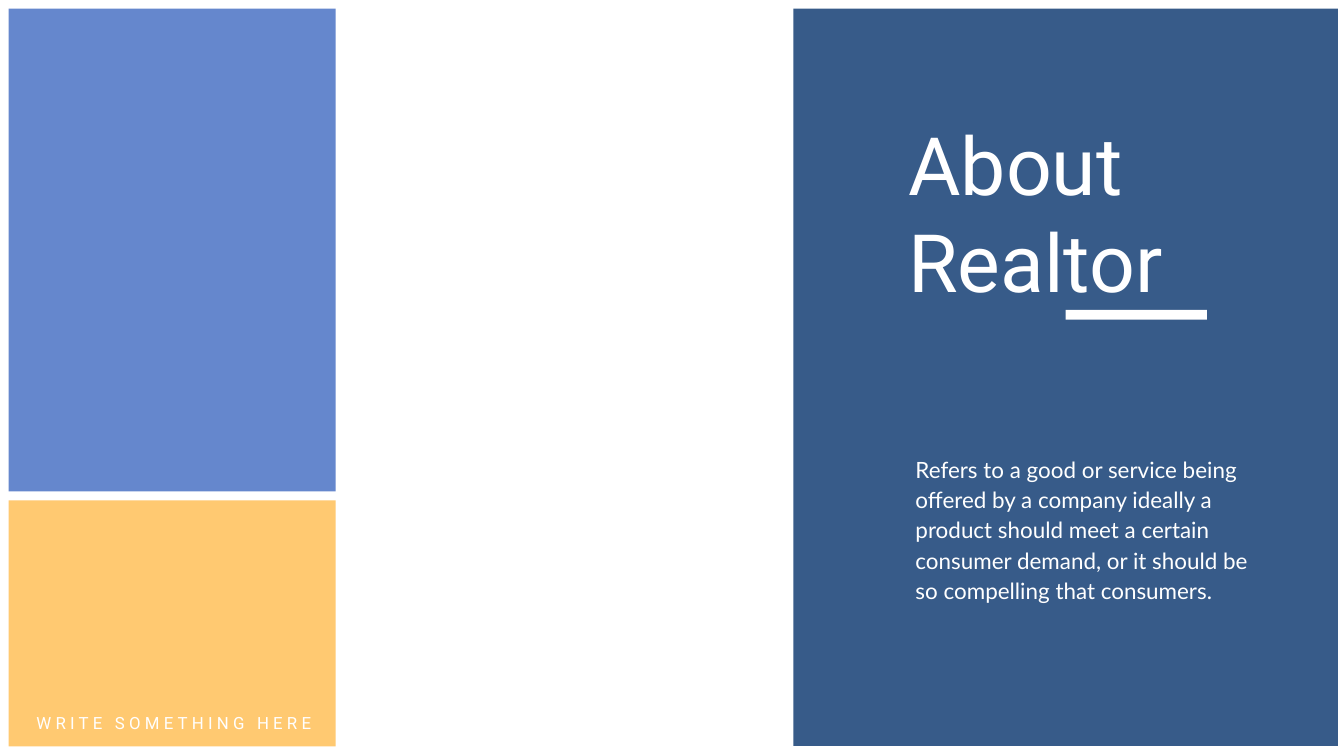
import pptx
import pptx.util
import pptx.dml.color
import pptx.enum.shapes
import pptx.enum.text

PX = 9144  # EMU per px, 100 px to the inch
WHITE = "FFFFFF"

deck = pptx.Presentation()
deck.slide_width = 2666 * PX
deck.slide_height = 1500 * PX
slide = deck.slides.add_slide(deck.slide_layouts[6])


def color(hex_code):
    return pptx.dml.color.RGBColor.from_string(hex_code)


def add_text(text, box, font, size, inset=(10, 5), align="LEFT", line=None, tracking=0):
    frame = slide.shapes.add_textbox(*[n * PX for n in box]).text_frame
    frame.word_wrap = True
    frame.margin_left = frame.margin_right = inset[0] * PX
    frame.margin_top = frame.margin_bottom = inset[1] * PX
    frame.text = text
    for paragraph in frame.paragraphs:
        paragraph.alignment = getattr(pptx.enum.text.PP_ALIGN, align)
        if line:
            paragraph.line_spacing = pptx.util.Pt(line)
        for run in paragraph.runs:
            run.font.name = font
            run.font.size = pptx.util.Pt(size)
            run.font.color.rgb = color(WHITE)
            if tracking:
                run.font._element.set("spc", str(tracking * 100))


# Colour panels and the bar under the title
panels = [
    ((1574, 17, 1080, 1463), "375B89"),
    ((17, 993, 649, 488), "FFC971"),
    ((17, 17, 649, 958), "6587CD"),
    ((2114, 615, 280, 19), WHITE),
]
for box, fill in panels:
    panel = slide.shapes.add_shape(
        pptx.enum.shapes.MSO_SHAPE.RECTANGLE, *[n * PX for n in box])
    panel.shadow.inherit = False
    panel.fill.solid()
    panel.fill.fore_color.rgb = color(fill)
    panel.line.fill.background()

# Title and description
add_text("About\nRealtor", (1792, 224, 573, 397), "Roboto", 115)
add_text("Refers to a good or service being offered by a company ideally a "
         "product should meet a certain consumer demand, or it should be so "
         "compelling that consumers.",
         (1792, 887, 710, 320), "Lato", 32, inset=(24, 12), line=43)

# Caption on the yellow panel
add_text("WRITE SOMETHING HERE", (50, 1409, 590, 50), "Roboto", 24,
         align="CENTER", tracking=6)

deck.save("out.pptx")
